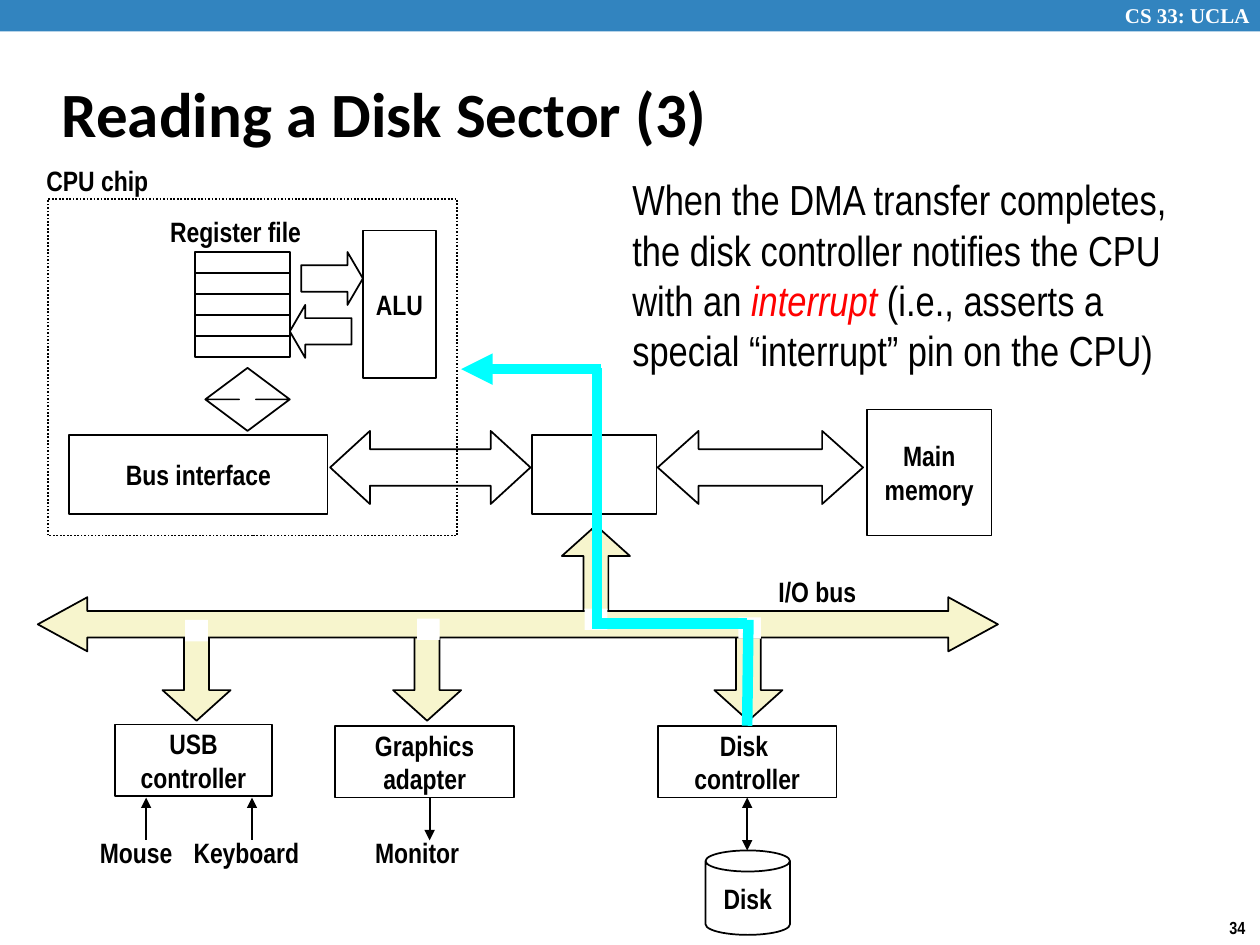
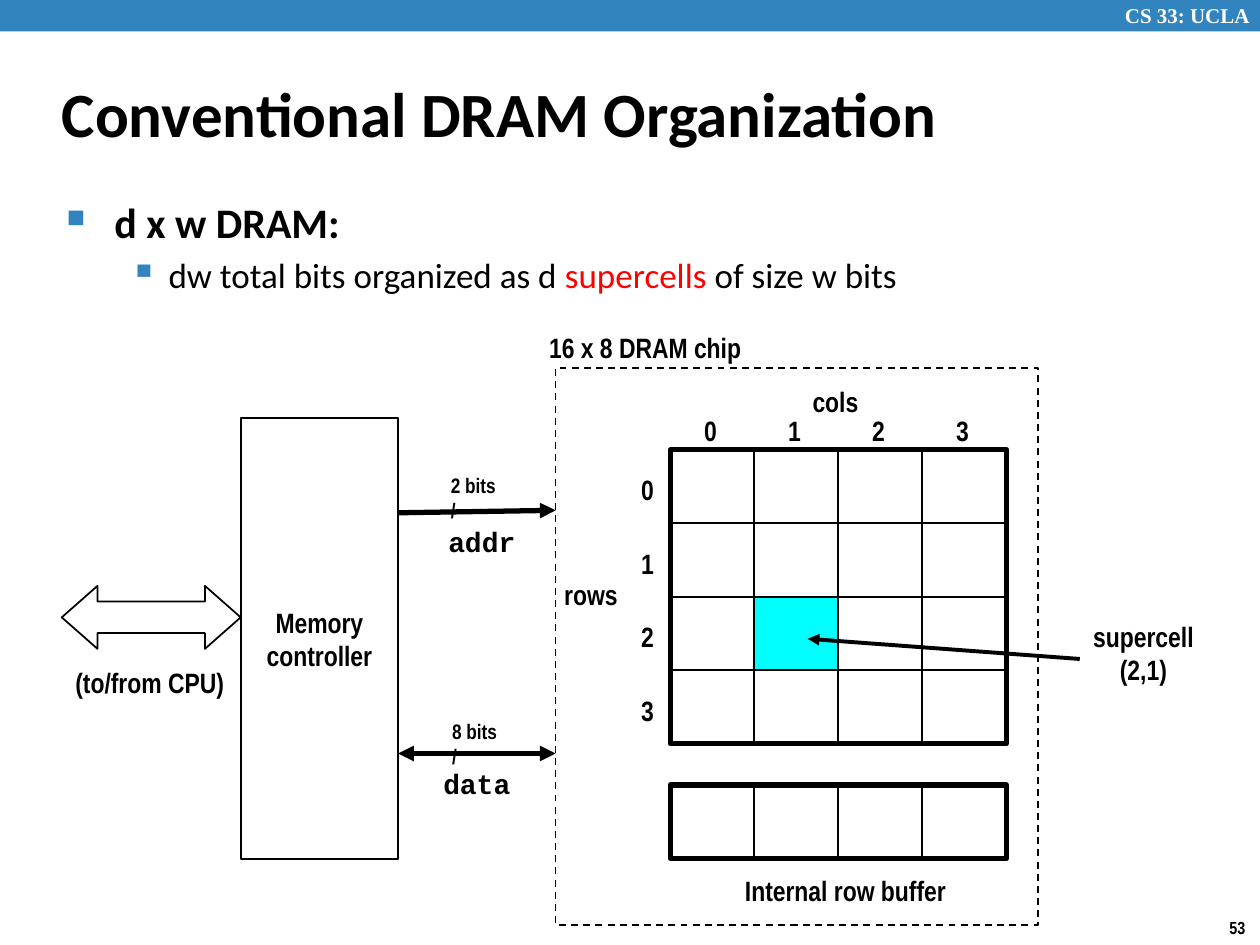
from lxml import etree
from pptx import Presentation
from pptx.dml.color import RGBColor
from pptx.enum.dml import MSO_LINE
from pptx.enum.shapes import MSO_CONNECTOR, MSO_SHAPE
from pptx.enum.text import MSO_ANCHOR, MSO_AUTO_SIZE, PP_ALIGN
from pptx.oxml.ns import qn
from pptx.util import Inches, Pt

# Shared colours, fonts and measures
BLACK = RGBColor(0x00, 0x00, 0x00)
WHITE = RGBColor(0xFF, 0xFF, 0xFF)
RED = RGBColor(0xFF, 0x00, 0x00)
CYAN = RGBColor(0x00, 0xFF, 0xFF)
BAND_BLUE = RGBColor(0x32, 0x84, 0xBF)
BUS_CREAM = RGBColor(0xF7, 0xF5, 0xCD)

TITLE_FONT = "Calibri"
LABEL_FONT = "Arial Narrow"
CODE_FONT = "Courier New"
BAND_FONT = "Times New Roman"

RECTANGLE = MSO_SHAPE.RECTANGLE
CAN = MSO_SHAPE.CAN
RIGHT_ARROW = MSO_SHAPE.RIGHT_ARROW
LEFT_ARROW = MSO_SHAPE.LEFT_ARROW
UP_ARROW = MSO_SHAPE.UP_ARROW
DOWN_ARROW = MSO_SHAPE.DOWN_ARROW
UP_DOWN_ARROW = MSO_SHAPE.UP_DOWN_ARROW
LEFT_RIGHT_ARROW = MSO_SHAPE.LEFT_RIGHT_ARROW
STRAIGHT = MSO_CONNECTOR.STRAIGHT
DOTTED = MSO_LINE.ROUND_DOT
DASHED = MSO_LINE.DASH
LEFT = PP_ALIGN.LEFT
CENTER = PP_ALIGN.CENTER
TOP = MSO_ANCHOR.TOP
MIDDLE = MSO_ANCHOR.MIDDLE
FIT_SHAPE = MSO_AUTO_SIZE.SHAPE_TO_FIT_TEXT
NO_FIT = MSO_AUTO_SIZE.NONE

TITLE_ONLY = 5
TOP_SIDE, BOTTOM_SIDE = 0, 2
CELL_WIDTH = 2 / 3
CELL_HEIGHT = 7 / 12


class Deck:
    """Holds the presentation, its style and the current slide."""

    def __init__(self):
        self.presentation = Presentation()
        self.presentation.slide_width = Inches(10)
        self.presentation.slide_height = Inches(7.5)
        self.slide = None

    def new_slide(self, title, number):
        layout = self.presentation.slide_layouts[TITLE_ONLY]
        self.slide = self.presentation.slides.add_slide(layout)
        self.shape(RECTANGLE, 0, 0, 10, 0.25, fill=BAND_BLUE, line=None)
        self.text("CS 33: UCLA", 8.83, -0.03, 1.24, 0.3, size=12, font=BAND_FONT,
                  color=WHITE, anchor=TOP, wrap=True)
        self.text(str(number), 9.66, 7.23, 0.34, 0.27, size=10, anchor=TOP)

        placeholder = self.slide.shapes.title
        placeholder.left, placeholder.top = Inches(0.39), Inches(0.48)
        placeholder.width, placeholder.height = Inches(8.3), Inches(0.83)
        frame = placeholder.text_frame
        frame.text = title
        frame.auto_size = NO_FIT
        frame.vertical_anchor = MIDDLE
        self.format_text(frame, 36, TITLE_FONT, BLACK, True, LEFT)

    def format_text(self, frame, size, font, color, bold, align):
        for paragraph in frame.paragraphs:
            paragraph.alignment = align
            for run in paragraph.runs:
                self.format_run(run, size, font, color, bold)

    def format_run(self, run, size, font, color, bold=False, italic=False):
        run.font.size = Pt(size)
        run.font.name = font
        run.font.bold = bold
        run.font.italic = italic
        run.font.color.rgb = color

    def text(self, text, left, top, width, height=0.37, size=16, font=LABEL_FONT,
             color=BLACK, bold=True, align=LEFT, anchor=MIDDLE, wrap=False):
        box = self.slide.shapes.add_textbox(
            Inches(left), Inches(top), Inches(width), Inches(height))
        frame = box.text_frame
        frame.text = text
        frame.word_wrap = wrap
        frame.auto_size = FIT_SHAPE
        frame.vertical_anchor = anchor
        self.format_text(frame, size, font, color, bold, align)
        return frame

    def add_runs(self, paragraph, pieces, size, font):
        """Adds (text, colour, italic) pieces as plain-weight runs."""
        for text, color, italic in pieces:
            run = paragraph.add_run()
            run.text = text
            self.format_run(run, size, font, color, italic=italic)

    def bullet(self, paragraph, symbol, percent, margin, hanging):
        properties = paragraph._p.get_or_add_pPr()
        properties.set("marL", str(Inches(margin)))
        properties.set("indent", str(-Inches(hanging)))
        color = etree.SubElement(properties, qn("a:buClr"))
        etree.SubElement(color, qn("a:srgbClr"), val=str(BAND_BLUE))
        etree.SubElement(properties, qn("a:buSzPct"), val=str(percent * 1000))
        etree.SubElement(properties, qn("a:buChar"), char=symbol)

    def shape(self, kind, left, top, width, height, text="", fill=None,
              line=BLACK, weight=1, dash=None, adjust=()):
        shape = self.slide.shapes.add_shape(
            kind, Inches(left), Inches(top), Inches(width), Inches(height))
        shape.shadow.inherit = False
        for index, value in enumerate(adjust):
            shape.adjustments[index] = value
        if fill is None:
            shape.fill.background()
        else:
            shape.fill.solid()
            shape.fill.fore_color.rgb = fill
        if line is None:
            shape.line.fill.background()
        else:
            shape.line.color.rgb = line
            shape.line.width = Pt(weight)
            if dash is not None:
                shape.line.dash_style = dash
        if text:
            frame = shape.text_frame
            frame.text = text
            frame.word_wrap = False
            frame.vertical_anchor = MIDDLE
            self.format_text(frame, 16, LABEL_FONT, BLACK, True, CENTER)
        return shape

    def line(self, start, end, color=BLACK, weight=1, head=False, tail=False):
        connector = self.slide.shapes.add_connector(
            STRAIGHT, *(Inches(value) for value in (*start, *end)))
        connector.line.color.rgb = color
        connector.line.width = Pt(weight)
        outline = connector.line._get_or_add_ln()
        for tag, wanted in (("a:headEnd", head), ("a:tailEnd", tail)):
            if wanted:
                etree.SubElement(outline, qn(tag), type="triangle")
        etree.SubElement(connector._element.spPr, qn("a:effectLst"))
        return connector

    def cells(self, left, top, rows, columns, marked=None):
        """Draws a grid of memory cells inside a heavy frame."""
        for row in range(rows):
            for column in range(columns):
                self.shape(RECTANGLE, left + column * CELL_WIDTH, top + row * CELL_HEIGHT,
                           CELL_WIDTH, CELL_HEIGHT,
                           fill=CYAN if (row, column) == marked else WHITE)
        self.shape(RECTANGLE, left, top, columns * CELL_WIDTH, rows * CELL_HEIGHT, weight=3)


def build_disk_sector(deck):
    deck.new_slide("Reading a Disk Sector (3)", 34)

    # Memory and the buses that reach it
    deck.shape(RECTANGLE, 6.88, 3.25, 0.99, 1, "Main\nmemory")
    deck.shape(LEFT_RIGHT_ARROW, 5.22, 3.42, 1.63, 0.58, adjust=(0.5, 0.56))
    deck.shape(RECTANGLE, 4.22, 3.45, 0.99, 0.63)
    deck.shape(LEFT_RIGHT_ARROW, 2.62, 3.42, 1.59, 0.58, adjust=(0.5, 0.545))

    # CPU chip
    for register in range(5):
        deck.shape(RECTANGLE, 1.55, 2 + register / 6, 0.75, 1 / 6)
    deck.shape(RIGHT_ARROW, 2.39, 2, 0.49, 0.42, adjust=(0.5, 0.292))
    deck.shape(LEFT_ARROW, 2.3, 2.42, 0.49, 0.42, adjust=(0.5, 0.292))
    deck.shape(RECTANGLE, 2.88, 1.83, 0.58, 1.17, "ALU")
    deck.text("Register file", 1.24, 1.65, 1.26, align=CENTER)
    deck.shape(UP_DOWN_ARROW, 1.63, 2.92, 0.67, 0.5, adjust=(0.5, 0.2))
    deck.shape(RECTANGLE, 0.38, 1.58, 3.25, 2.67, dash=DOTTED)
    deck.text("CPU chip", 0.27, 1.25, 1.19)

    # Bus branches and device controllers
    branch = {"fill": BUS_CREAM, "adjust": (0.367, 0.449)}
    deck.shape(UP_ARROW, 4.46, 4.17, 0.54, 0.75, **branch)
    for left in (5.67, 3.12, 1.29):
        deck.shape(DOWN_ARROW, left, 4.97, 0.54, 0.75, **branch)
    disk_controller = deck.shape(RECTANGLE, 5.22, 5.76, 1.42, 0.57, "Disk \ncontroller")
    deck.shape(RECTANGLE, 2.66, 5.76, 1.42, 0.57, "Graphics\nadapter")
    deck.shape(RECTANGLE, 0.91, 5.75, 1.25, 0.57, "USB\ncontroller")

    # Devices
    for x in (1.16, 2):
        deck.line((x, 6.33), (x, 6.67), head=True)
    deck.line((3.41, 6.33), (3.41, 6.67), tail=True)
    for label, left, width in (("Mouse", 0.69, 0.78), ("Keyboard", 1.43, 1.05),
                               ("Monitor", 2.87, 0.88)):
        deck.text(label, left, 6.58, width, align=CENTER)
    disk_link = deck.line((5.93, 6.33), (5.93, 6.75), head=True, tail=True)
    disk_link.begin_connect(disk_controller, BOTTOM_SIDE)
    deck.shape(CAN, 5.6, 6.75, 0.67, 0.67, "Disk", adjust=(0.25,))

    # I/O bus with gaps where the branches join
    deck.shape(LEFT_RIGHT_ARROW, 0.3, 4.74, 7.62, 0.43, fill=BUS_CREAM, adjust=(0.486, 0.915))
    for left, top in ((1.47, 4.92), (3.31, 4.91), (5.86, 4.9), (4.64, 4.83)):
        deck.shape(RECTANGLE, left, top, 0.18, 0.17, fill=WHITE, line=None)
    deck.text("I/O bus", 6.08, 4.51, 0.96)

    # Interrupt route from the disk controller to the CPU
    route = {"color": CYAN, "weight": 6}
    deck.line((4.77, 2.93), (3.66, 2.93), tail=True, **route)
    deck.line((4.74, 2.92), (4.74, 4.92), **route)
    deck.line((4.7, 4.95), (5.93, 4.95), **route)
    last_leg = deck.line((5.94, 4.92), (5.93, 5.76), **route)
    last_leg.end_connect(disk_controller, TOP_SIDE)
    deck.shape(RECTANGLE, 0.55, 3.45, 2.05, 0.63, "Bus interface")

    # Explanation
    frame = deck.text("", 4.92, 1.33, 4.75, 1.72, anchor=TOP, wrap=True)
    deck.add_runs(frame.paragraphs[0], (
        ("When the DMA transfer completes, the disk controller notifies the CPU with an ",
         BLACK, False),
        ("interrupt", RED, True),
        (" (i.e., asserts a special “interrupt” pin on the CPU)", BLACK, False),
    ), 24, LABEL_FONT)


def build_dram(deck):
    deck.new_slide("Conventional DRAM Organization", 53)

    # Bullets
    frame = deck.text("d x w DRAM:", 0.43, 1.51, 8.64, 0.95, size=24, font=TITLE_FONT,
                      anchor=TOP, wrap=True)
    deck.bullet(frame.paragraphs[0], "■", 60, 0.38, 0.38)
    detail = frame.add_paragraph()
    detail.level = 1
    detail.space_before = Pt(4)
    deck.bullet(detail, "▪", 110, 0.81, 0.31)
    deck.add_runs(detail, (
        ("dw total bits organized as d ", BLACK, False),
        ("supercells", RED, False),
        (" of size w bits", BLACK, False),
    ), 20, TITLE_FONT)

    # Supercell array and row buffer
    deck.text("cols", 6.35, 3, 0.65)
    deck.text("rows", 4.38, 4.53, 0.73)
    deck.cells(5.32, 3.57, 4, 4, marked=(2, 1))
    for index in range(4):
        deck.text(str(index), 5.49 + index * CELL_WIDTH, 3.23, 0.32)
        deck.text(str(index), 4.99, 3.7 + index * CELL_HEIGHT, 0.32)
    deck.cells(5.32, 6.23, 1, 4)
    deck.text("Internal row buffer", 5.8, 6.88, 1.82, align=CENTER)
    deck.shape(RECTANGLE, 4.41, 2.92, 3.83, 4.42, dash=DASHED)
    deck.text("16 x 8 DRAM chip", 4.26, 2.57, 2.07)

    # Address and data lines
    deck.line((3.16, 4.07), (4.41, 4.05), weight=3, tail=True)
    deck.text("addr", 3.46, 4.11, 0.74, font=CODE_FONT)
    deck.line((3.16, 5.98), (4.41, 5.98), weight=3, head=True, tail=True)
    deck.text("data", 3.42, 6.03, 0.74, font=CODE_FONT)
    deck.text("2 bits\n/", 3.48, 3.7, 0.64, 0.5, size=12)
    deck.text("8 bits\n/", 3.49, 5.65, 0.64, 0.5, size=12)

    # Supercell pointer
    deck.text("supercell\n(2,1)", 8.57, 4.86, 1.01, 0.64, align=CENTER)
    deck.line((8.57, 5.23), (6.41, 5.07), weight=2.25, tail=True)

    # Memory controller
    deck.shape(RECTANGLE, 1.91, 3.32, 1.25, 3.5, "Memory\ncontroller", fill=WHITE)
    deck.shape(LEFT_RIGHT_ARROW, 0.49, 4.65, 1.42, 0.5, fill=WHITE, adjust=(0.5, 0.567))
    deck.text("(to/from CPU)", 0.5, 5.23, 1.4)


def main():
    deck = Deck()
    build_disk_sector(deck)
    build_dram(deck)
    deck.presentation.save("out.pptx")


if __name__ == "__main__":
    main()
